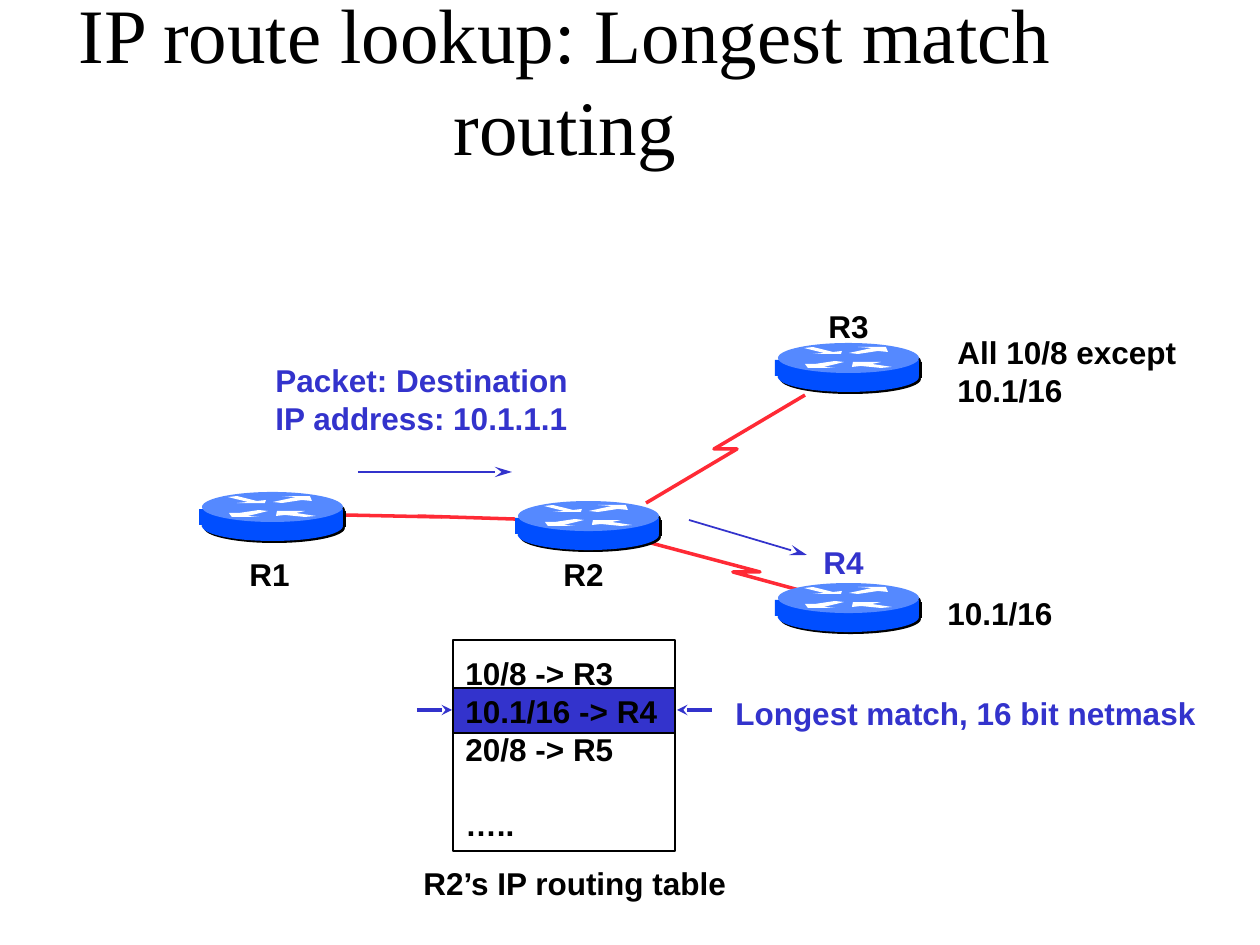
from lxml import etree
from pptx import Presentation
from pptx.dml.color import RGBColor
from pptx.enum.shapes import MSO_CONNECTOR, MSO_SHAPE
from pptx.enum.text import MSO_ANCHOR, MSO_AUTO_SIZE, PP_ALIGN
from pptx.oxml.ns import qn
from pptx.util import Pt

SCALE = 914400 / 126
RECT, OVAL = MSO_SHAPE.RECTANGLE, MSO_SHAPE.OVAL
STRAIGHT = MSO_CONNECTOR.STRAIGHT
FIT = MSO_AUTO_SIZE.SHAPE_TO_FIT_TEXT
MIDDLE, CENTER, LEFT = MSO_ANCHOR.MIDDLE, PP_ALIGN.CENTER, PP_ALIGN.LEFT

BLACK, WHITE, BLUE, RED = "000000", "FFFFFF", "3333CC", "FF2A35"
SIDE, TOP = "004EFF", "5589FF"
LEAD = 1.2

DISC = [
    (RECT, 3, 19, 144, 16, BLACK),
    (OVAL, 5, 21, 141, 30, BLACK),
    (OVAL, 5, 3, 141, 30, BLACK),
    (RECT, 0, 17, 144, 16, SIDE),
    (OVAL, 3, 19, 141, 30, SIDE),
    (OVAL, 3, 0, 141, 30, TOP),
]
MARKS = [
    [(29, 5), (38, 4), (58, 9), (67, 8), (66, 11), (38, 11), (49, 10)],
    [(117, 24), (106, 25), (86, 23), (77, 24), (78, 19), (106, 19), (97, 21)],
    [(74, 10), (83, 11), (103, 8), (113, 9), (111, 4), (83, 4), (97, 5)],
    [(69, 19), (60, 18), (40, 21), (30, 21), (33, 25), (60, 25), (49, 24)],
]
ROUTERS = [(515, 501), (775, 583), (199, 492), (775, 343)]
LINKS = [
    [(843, 602), (733, 572), (760, 572), (651, 543)],
    [(646, 503), (737, 449), (714, 449), (805, 395)],
    [(515, 519), (418, 516), (442, 517), (346, 515)],
]
LABELS = [
    (551, 549, 68, ["R2"], BLACK),
    (816, 301, 68, ["R3"], BLACK),
    (237, 549, 68, ["R1"], BLACK),
    (811, 537, 68, ["R4"], BLUE),
    (945, 327, 244, ["All 10/8 except", "10.1/16"], BLACK),
    (935, 588, 130, ["10.1/16"], BLACK),
    (411, 858, 330, ["R2’s IP routing table"], BLACK),
    (263, 355, 319, ["Packet: Destination", "IP address: 10.1.1.1"], BLUE),
    (723, 688, 486, ["Longest match, 16 bit netmask"], BLUE),
]
ARROWS = [
    (358, 472, 512, 472, 1, "lg"),
    (689, 520, 807, 555, 1, "lg"),
    (712, 710, 677, 710, 2, "med"),
    (417, 710, 452, 710, 2, "med"),
]


def px(*nums):
    return [round(n * SCALE) for n in nums]


def color(code):
    return RGBColor.from_string(code)


def paint(shape, fill=None, line=None, width=1):
    shape.shadow.inherit = False
    if fill:
        shape.fill.solid()
        shape.fill.fore_color.rgb = color(fill)
    else:
        shape.fill.background()
    if line:
        shape.line.color.rgb = color(line)
        shape.line.width = Pt(width)
    else:
        shape.line.fill.background()


def block(shapes, kind, x, y, w, h, fill=None, line=None):
    paint(shapes.add_shape(kind, *px(x, y, w, h)), fill, line)


def path(shapes, points, fill=None, line=None, width=1):
    spots = [px(*p) for p in points]
    pen = shapes.build_freeform(*spots[0])
    pen.add_line_segments(spots[1:], close=bool(fill))
    paint(pen.convert_to_shape(), fill, line, width)


def router(slide, x, y):
    shapes = slide.shapes.add_group_shape().shapes
    for kind, dx, dy, w, h, fill in DISC:
        block(shapes, kind, x + dx, y + dy, w, h, fill)
    for mark in MARKS:
        path(shapes, [(x + dx, y + dy) for dx, dy in mark], WHITE)


def style(para, size, face, tint, bold, align):
    para.alignment = align
    para.line_spacing = Pt(round(size * LEAD, 1))
    for run in para.runs:
        run.font.size = Pt(size)
        run.font.name = face
        run.font.bold = bold
        run.font.color.rgb = color(tint)


def label(slide, x, y, w, lines, tint):
    box = slide.shapes.add_textbox(*px(x, y, w, 12 + 38 * len(lines)))
    frame = box.text_frame
    frame.word_wrap = False
    frame.auto_size = FIT
    frame.text = "\n".join(lines)
    for para in frame.paragraphs:
        style(para, 18, "Arial", tint, True, LEFT)
    return frame


def title(slide, text):
    frame = slide.shapes.add_textbox(*px(42, 0, 1046, 157)).text_frame
    frame.word_wrap = True
    frame.vertical_anchor = MIDDLE
    frame.text = text
    style(frame.paragraphs[0], 44, "Times New Roman", BLACK, False, CENTER)


def table(slide):
    rows = ["10/8 -> R3", "10.1/16 -> R4", "20/8 -> R5", "….."]
    frame = label(slide, 453, 648, 218, rows, BLACK)
    frame.paragraphs[-1].space_before = Pt(21.6)
    block(slide.shapes, RECT, 453, 640, 222, 211, line=BLACK)


def arrow(slide, x1, y1, x2, y2, width, size):
    line = slide.shapes.add_connector(STRAIGHT, *px(x1, y1, x2, y2))
    line.line.color.rgb = color(BLUE)
    line.line.width = Pt(width)
    props = line.line._get_or_add_ln()
    etree.SubElement(props, qn("a:tailEnd"), type="stealth", w="med", len=size)
    etree.SubElement(props.getparent(), qn("a:effectLst"))


def main():
    deck = Presentation()
    deck.slide_width, deck.slide_height = px(1260, 945)
    slide = deck.slides.add_slide(deck.slide_layouts[6])
    block(slide.shapes, RECT, 453, 688, 222, 45, BLUE, BLACK)
    title(slide, "IP route lookup: Longest match routing")
    for link in LINKS:
        path(slide.shapes, link, line=RED, width=2)
    for spot in ROUTERS:
        router(slide, *spot)
    table(slide)
    for item in LABELS:
        label(slide, *item)
    for item in ARROWS:
        arrow(slide, *item)
    deck.save("out.pptx")


if __name__ == "__main__":
    main()
